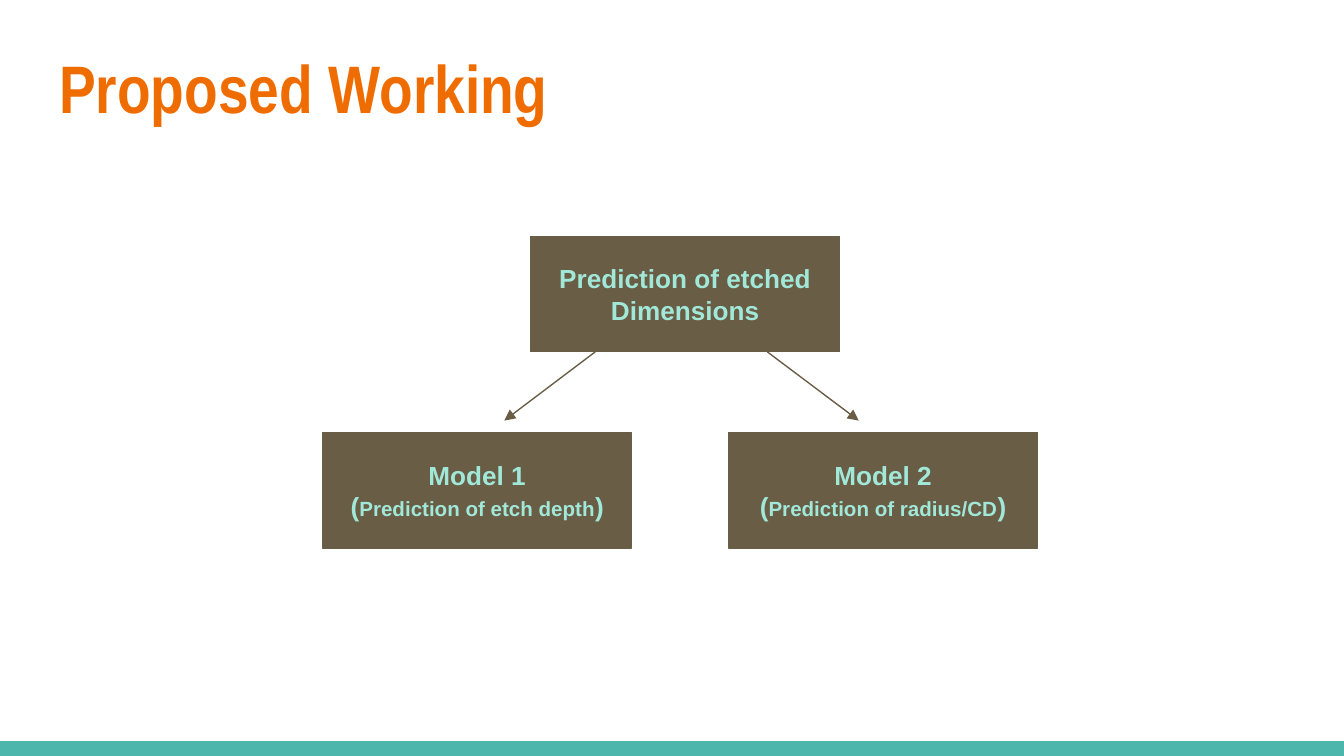
import pptx
import pptx.util
import pptx.dml.color
import pptx.enum.shapes
import pptx.enum.text
import pptx.oxml.ns
from lxml import etree

Cm = pptx.util.Cm
Pt = pptx.util.Pt
RECTANGLE = pptx.enum.shapes.MSO_SHAPE.RECTANGLE
BROWN = "695D46"
MINT = "A1E8D9"


def color(value):
    return pptx.dml.color.RGBColor.from_string(value)


def style_run(run, size, font_name, value):
    run.font.size = Pt(size)
    run.font.name = font_name
    run.font.bold = True
    run.font.color.rgb = color(value)


presentation = pptx.Presentation()
presentation.slide_width = Cm(25.4)
presentation.slide_height = Cm(14.29)
slide = presentation.slides.add_slide(presentation.slide_layouts[6])

footer_bar = slide.shapes.add_shape(RECTANGLE, 0, Cm(14.01), Cm(25.4), Cm(0.28))
footer_bar.shadow.inherit = False
footer_bar.fill.solid()
footer_bar.fill.fore_color.rgb = color("4DB6AC")
footer_bar.line.fill.background()

heading = slide.shapes.add_textbox(Cm(0.87), Cm(0.62), Cm(23.66), Cm(1.6))
heading_frame = heading.text_frame
heading_frame.word_wrap = True
heading_frame.margin_left = heading_frame.margin_right = Cm(0.25)
heading_frame.margin_top = heading_frame.margin_bottom = Cm(0.25)
heading_frame.text = "Proposed Working"
style_run(heading_frame.paragraphs[0].runs[0], 36, "Arial Narrow", "EF6C00")

box_width, box_height = 5.84, 2.18
root_top, model_top = 4.47, 8.18
boxes = [
    (6.1, model_top, "Model 1", "Prediction of etch depth"),
    (13.77, model_top, "Model 2", "Prediction of radius/CD"),
    (10.03, root_top, "Prediction of etched Dimensions", None),
]
for left, top, label, detail in boxes:
    box = slide.shapes.add_shape(
        RECTANGLE, Cm(left), Cm(top), Cm(box_width), Cm(box_height))
    box.shadow.inherit = False
    box.fill.solid()
    box.fill.fore_color.rgb = color(BROWN)
    box.line.color.rgb = color(BROWN)
    box.line.width = Pt(0.75)
    frame = box.text_frame
    frame.word_wrap = True
    frame.vertical_anchor = pptx.enum.text.MSO_ANCHOR.MIDDLE
    frame.margin_left = frame.margin_right = Cm(0.25)
    frame.margin_top = frame.margin_bottom = Cm(0.25)
    frame.text = label
    style_run(frame.paragraphs[0].runs[0], 14, "Arial", MINT)
    if detail:
        detail_line = frame.add_paragraph()
        for part, size in [("(", 14), (detail, 11), (")", 14)]:
            run = detail_line.add_run()
            run.text = part
            style_run(run, size, "Arial", MINT)
    for paragraph in frame.paragraphs:
        paragraph.alignment = pptx.enum.text.PP_ALIGN.CENTER

for start, end in [(11.25, 9.53), (14.5, 16.23)]:
    arrow = slide.shapes.add_connector(
        pptx.enum.shapes.MSO_CONNECTOR.STRAIGHT,
        Cm(start), Cm(root_top + box_height), Cm(end), Cm(7.95))
    arrow.line.color.rgb = color(BROWN)
    arrow.line.width = Pt(0.75)
    etree.SubElement(
        arrow.line._get_or_add_ln(), pptx.oxml.ns.qn("a:tailEnd"), type="triangle")
    etree.SubElement(arrow._element.spPr, pptx.oxml.ns.qn("a:effectLst"))

presentation.save("out.pptx")
